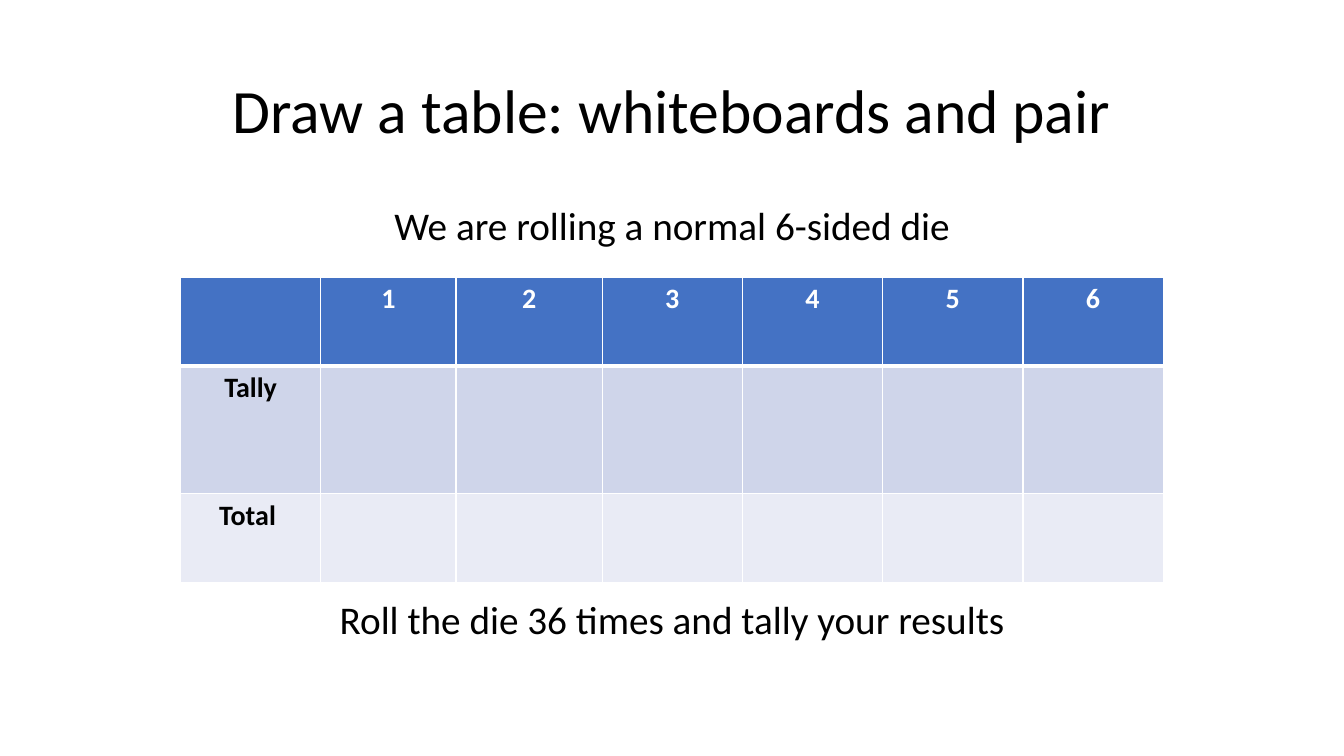
import dataclasses

import lxml.etree
import pptx
import pptx.dml.color
import pptx.enum.text
import pptx.oxml.ns
import pptx.util

CELL = pptx.util.Inches(1 / 12)  # the slide is a grid of 160 columns by 90 rows
BLACK, WHITE, BLUE = "000000", "FFFFFF", "4472C4"
CENTRE = pptx.enum.text.PP_ALIGN.CENTER


@dataclasses.dataclass
class Box:
    left: float
    top: float
    width: float
    height: float


@dataclasses.dataclass
class Row:
    texts: list[str]
    height: float
    fill: str
    ink: str
    under: float


TITLE = Box(11, 4.8, 138, 17.4)
BODY = Box(11, 24, 138, 57.1)
LINES = ["We are rolling a normal 6-sided die",
         "Roll the die 36 times and tally your results"]
GAP = 251  # points between the two lines, leaving room for the table

WIDTHS = [16.7, 16.1, 17.4] + [16.7] * 4
ROWS = [
    Row([""] + [str(face) for face in range(1, 7)], 10.55, BLUE, WHITE, 3),
    Row(["Tally"] + [""] * 6, 15.25, "CFD5EA", BLACK, 1),
    Row(["Total "] + [""] * 6, 10.55, "E9EBF5", BLACK, 1),
]
GRID = Box(21.5, 33, sum(WIDTHS), sum(row.height for row in ROWS))


def span(count: float) -> pptx.util.Emu:
    """Turn a count of grid cells into a length."""
    return pptx.util.Emu(round(count * CELL))


def tint(code: str) -> pptx.dml.color.RGBColor:
    return pptx.dml.color.RGBColor.from_string(code)


def apply(item, values: dict) -> None:
    for name, value in values.items():
        setattr(item, name, value)


def place(shape, box: Box) -> None:
    apply(shape, {name: span(value) for name, value in dataclasses.asdict(box).items()})


def style(para, size: float, ink: str, bold: bool = False) -> None:
    para.alignment = CENTRE
    apply(para.font, {"size": pptx.util.Pt(size), "name": "Calibri", "bold": bold})
    para.font.color.rgb = tint(ink)


def unmark(para) -> None:
    """Take away the bullet and its indent."""
    props = para._p.get_or_add_pPr()
    props.set("marL", "0")
    props.set("indent", "0")
    lxml.etree.SubElement(props, pptx.oxml.ns.qn("a:buNone"))


def edge(cell, widths: dict[str, float]) -> None:
    """Draw white borders, with widths in points by side."""
    props = cell._tc.get_or_add_tcPr()
    for spot, (side, width) in enumerate(widths.items()):
        line = props.makeelement(pptx.oxml.ns.qn(f"a:ln{side}"), {"w": str(pptx.util.Pt(width))})
        fill = lxml.etree.SubElement(line, pptx.oxml.ns.qn("a:solidFill"))
        lxml.etree.SubElement(fill, pptx.oxml.ns.qn("a:srgbClr"), val=WHITE)
        props.insert(spot, line)


def write(shape, box: Box, lines: list[str], size: float, gap: float = 0) -> None:
    place(shape, box)
    frame = shape.text_frame
    apply(frame, {"word_wrap": True, "auto_size": pptx.enum.text.MSO_AUTO_SIZE.NONE})
    frame.text = "\n".join(lines)
    for spot, para in enumerate(frame.paragraphs):
        unmark(para)
        apply(para, {"line_spacing": 0.9, "space_before": pptx.util.Pt(gap if spot else 0)})
        style(para, size, BLACK)


def tabulate(slide) -> None:
    box = [span(value) for value in dataclasses.astuple(GRID)]
    table = slide.shapes.add_table(len(ROWS), len(WIDTHS), *box).table
    for column, width in zip(table.columns, WIDTHS):
        column.width = span(width)
    over = 1
    for line, row in zip(table.rows, ROWS):
        line.height = span(row.height)
        for cell, text in zip(line.cells, row.texts):
            cell.text = text
            style(cell.text_frame.paragraphs[0], 20, row.ink, True)
            cell.fill.solid()
            cell.fill.fore_color.rgb = tint(row.fill)
            edge(cell, {"L": 1, "R": 1, "T": over, "B": row.under})
        over = row.under


def main() -> None:
    deck = pptx.Presentation()
    apply(deck, {"slide_width": span(160), "slide_height": span(90)})
    slide = deck.slides.add_slide(deck.slide_layouts[1])
    write(slide.shapes.title, TITLE, ["Draw a table: whiteboards and pair"], 44)
    write(slide.placeholders[1], BODY, LINES, 28, GAP)
    tabulate(slide)
    deck.save("out.pptx")


if __name__ == "__main__":
    main()
